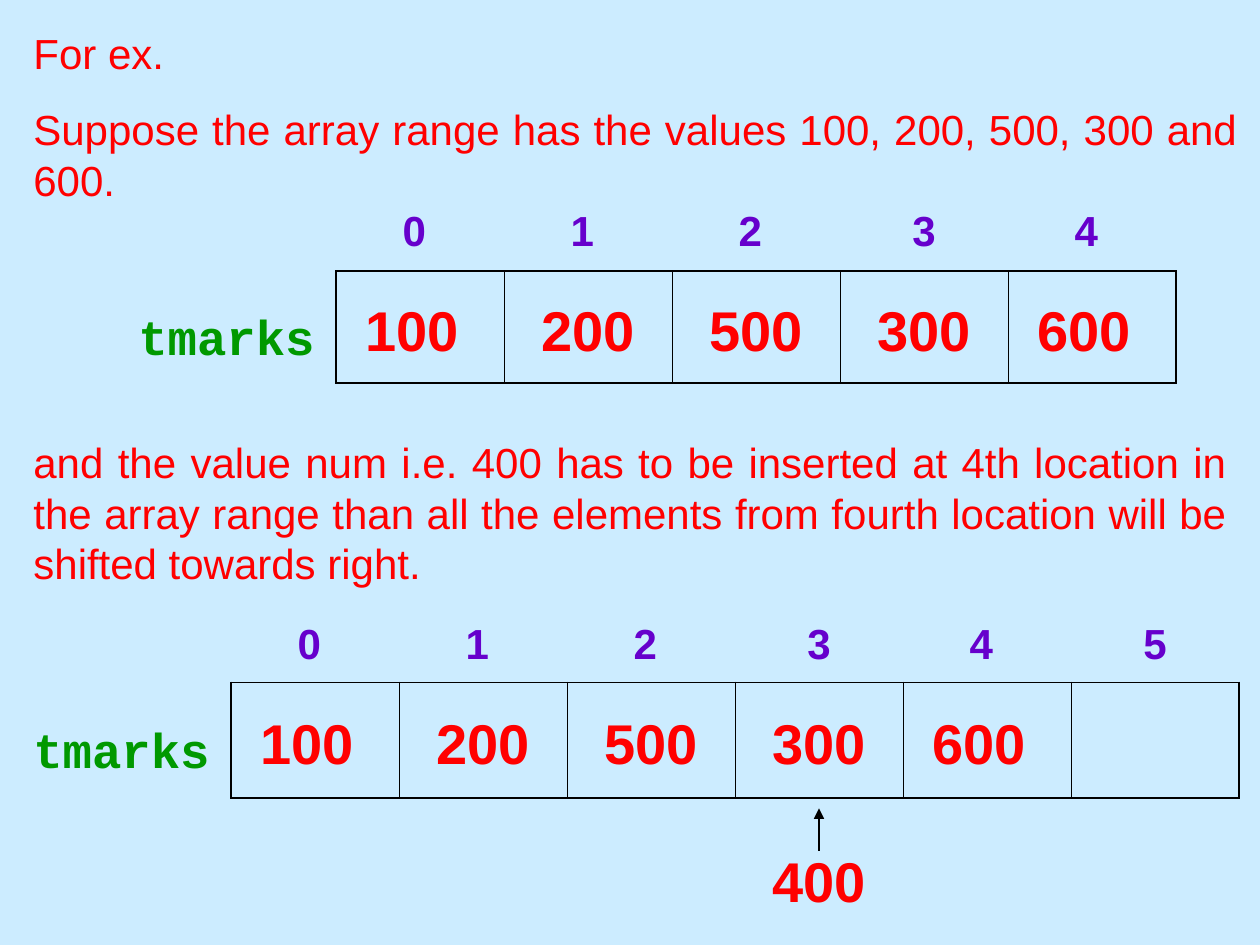
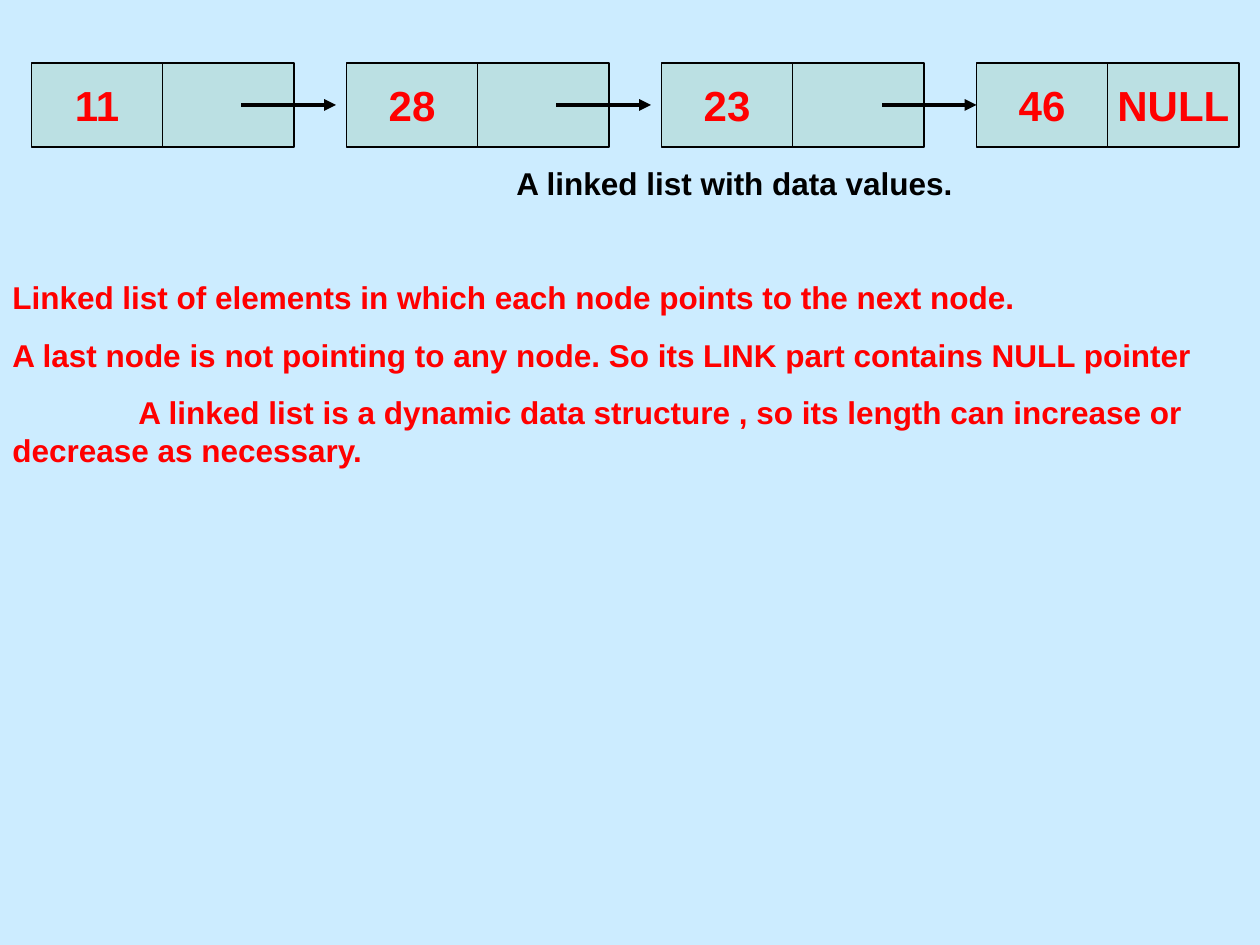
from dataclasses import dataclass

from lxml.etree import SubElement
from pptx import Presentation
from pptx.dml.color import RGBColor as Color
from pptx.enum.shapes import MSO_CONNECTOR as Connector, MSO_SHAPE as Shape
from pptx.enum.text import MSO_ANCHOR as Anchor, PP_ALIGN as Align
from pptx.oxml.ns import qn
from pptx.util import Pt


@dataclass(frozen=True)
class Theme:
    background: Color = Color.from_string("CCECFF")
    node: Color = Color.from_string("BBE0E3")
    red: Color = Color.from_string("FF0000")
    purple: Color = Color.from_string("6600CC")
    green: Color = Color.from_string("009900")
    black: Color = Color.from_string("000000")
    font: str = "Arial"
    code_font: str = "Courier New"
    note_size: int = 18
    body_size: int = 24
    name_size: int = 28
    value_size: int = 32
    thin: float = 0.45
    outline: float = 0.75
    frame: float = 1.08
    link: float = 2.25


THEME = Theme()
CELL_WIDTH = 96
NODE_TOP, NODE_HEIGHT, HALF_NODE, NODE_STEP = 36, 48, 75, 180


def write(paragraph, text, *, size=THEME.body_size, color=THEME.red, bold=False,
          font=THEME.font, align=Align.LEFT, before=0, margin=0, indent=0):
    properties = paragraph._p.get_or_add_pPr()
    properties.set("marL", str(Pt(margin)))
    properties.set("indent", str(Pt(indent)))
    paragraph.alignment = align
    paragraph.space_before = Pt(before)
    run = paragraph.add_run()
    run.text = text
    run.font.name = font
    run.font.size = Pt(size)
    run.font.bold = bold
    run.font.color.rgb = color


def add_text(slide, left, top, width, height, *entries, **style):
    frame = slide.shapes.add_textbox(Pt(left), Pt(top), Pt(width), Pt(height)).text_frame
    frame.word_wrap = True
    for number, entry in enumerate(entries):
        text, changes = entry if isinstance(entry, tuple) else (entry, {})
        paragraph = frame.add_paragraph() if number else frame.paragraphs[0]
        write(paragraph, text, **{**style, **changes})


def set_borders(cell, **widths):
    properties = cell._tc.get_or_add_tcPr()
    for number, (side, width) in enumerate(widths.items()):
        line = SubElement(properties, qn(f"a:ln{side}"), w=str(Pt(width)))
        fill = SubElement(line, qn("a:solidFill"))
        SubElement(fill, qn("a:srgbClr"), val=str(THEME.black))
        properties.insert(number, line)


def add_array(slide, left, top, height, name_left, indexes, values):
    """Draw a named one-row array with its indexes above the cells."""
    count = len(indexes)
    table = slide.shapes.add_table(1, count, Pt(left), Pt(top),
                                   Pt(CELL_WIDTH * count), Pt(height)).table
    table.first_row = table.horz_banding = False
    for column, cell in enumerate(table.rows[0].cells):
        cell.fill.background()
        set_borders(cell, L=THEME.thin if column else THEME.frame,
                    R=THEME.thin if column < count - 1 else THEME.frame,
                    T=THEME.frame, B=THEME.frame)
    middle = top + height / 2
    add_text(slide, name_left, middle - 15.5, 120, 41, "tmarks", size=THEME.name_size,
             font=THEME.code_font, color=THEME.green, bold=True)
    rows = ((indexes, 73.5, 36, THEME.body_size, THEME.purple),
            (values, 21.5, 46, THEME.value_size, THEME.red))
    for texts, rise, box_height, size, color in rows:
        for column, text in enumerate(texts):
            add_text(slide, left + CELL_WIDTH * column, middle - rise, CELL_WIDTH, box_height,
                     text, size=size, color=color, bold=True, align=Align.CENTER)


def add_arrow(slide, start_x, start_y, end_x, end_y, width):
    arrow = slide.shapes.add_connector(Connector.STRAIGHT, Pt(start_x), Pt(start_y),
                                       Pt(end_x), Pt(end_y))
    arrow.line.color.rgb = THEME.black
    arrow.line.width = Pt(width)
    SubElement(arrow.line._get_or_add_ln(), qn("a:tailEnd"), type="triangle")
    SubElement(arrow._element.spPr, qn("a:effectLst"))


def add_node(slide, left, data, link):
    group = slide.shapes.add_group_shape()
    for part, text in enumerate((data, link)):
        shape = group.shapes.add_shape(Shape.RECTANGLE, Pt(left + HALF_NODE * part),
                                       Pt(NODE_TOP), Pt(HALF_NODE), Pt(NODE_HEIGHT))
        shape.shadow.inherit = False
        shape.fill.solid()
        shape.fill.fore_color.rgb = THEME.node
        shape.line.color.rgb = THEME.black
        shape.line.width = Pt(THEME.outline)
        if text:
            shape.text_frame.word_wrap = False
            shape.text_frame.vertical_anchor = Anchor.MIDDLE
            write(shape.text_frame.paragraphs[0], text, bold=True, align=Align.CENTER)


def add_slide(presentation):
    slide = presentation.slides.add_slide(presentation.slide_layouts[6])
    slide.background.fill.solid()
    slide.background.fill.fore_color.rgb = THEME.background
    return slide


def build_array_slide(presentation):
    slide = add_slide(presentation)
    indexes = ["0 ", "1 ", "2 ", "3", "4 ", "5"]
    values = ["100 ", "200", "500", "300", "600 "]
    add_text(slide, 12, 12, 702, 109, "For ex.",
             ("Suppose the array range has the values 100, 200, 500, 300 and 600.",
              {"before": 15}), align=Align.JUSTIFY)
    add_array(slide, 192, 155, 64, 72, indexes[:5], values)
    add_text(slide, 12, 246, 696, 94,
             "and the value num i.e. 400 has to be inserted at 4th location in the array range "
             "than all the elements from fourth location will be shifted towards right.",
             align=Align.JUSTIFY)
    add_array(slide, 132, 390, 66, 12, indexes, values)
    add_text(slide, 432, 480, 72, 46, "400", size=THEME.value_size, bold=True,
             align=Align.CENTER)
    add_arrow(slide, 468, 486, 468, 462, THEME.outline)


def build_linked_list_slide(presentation):
    slide = add_slide(presentation)
    nodes = (("11", ""), ("28", ""), ("23", ""), ("46", "NULL"))
    for position, (data, link) in enumerate(nodes):
        add_node(slide, 18 + NODE_STEP * position, data, link)
    link_y = NODE_TOP + NODE_HEIGHT / 2
    for start in (138, 318, 504):
        add_arrow(slide, start, link_y, start + 54, link_y, THEME.link)
    add_text(slide, 0, 90, 720, 182,
             ("A linked list with data values.",
              {"color": THEME.black, "margin": 288, "before": 0}),
             ("Linked list of elements in which each node points to the next node.",
              {"before": 44}),
             "A last node is not pointing to any node. So its LINK part contains NULL pointer",
             ("A linked list is a dynamic data structure , so its length can increase or "
              "decrease as necessary.", {"indent": 72}),
             size=THEME.note_size, bold=True, before=11.2)


def main():
    presentation = Presentation()
    presentation.slide_width, presentation.slide_height = Pt(720), Pt(540)
    build_array_slide(presentation)
    build_linked_list_slide(presentation)
    presentation.save("out.pptx")


if __name__ == "__main__":
    main()
